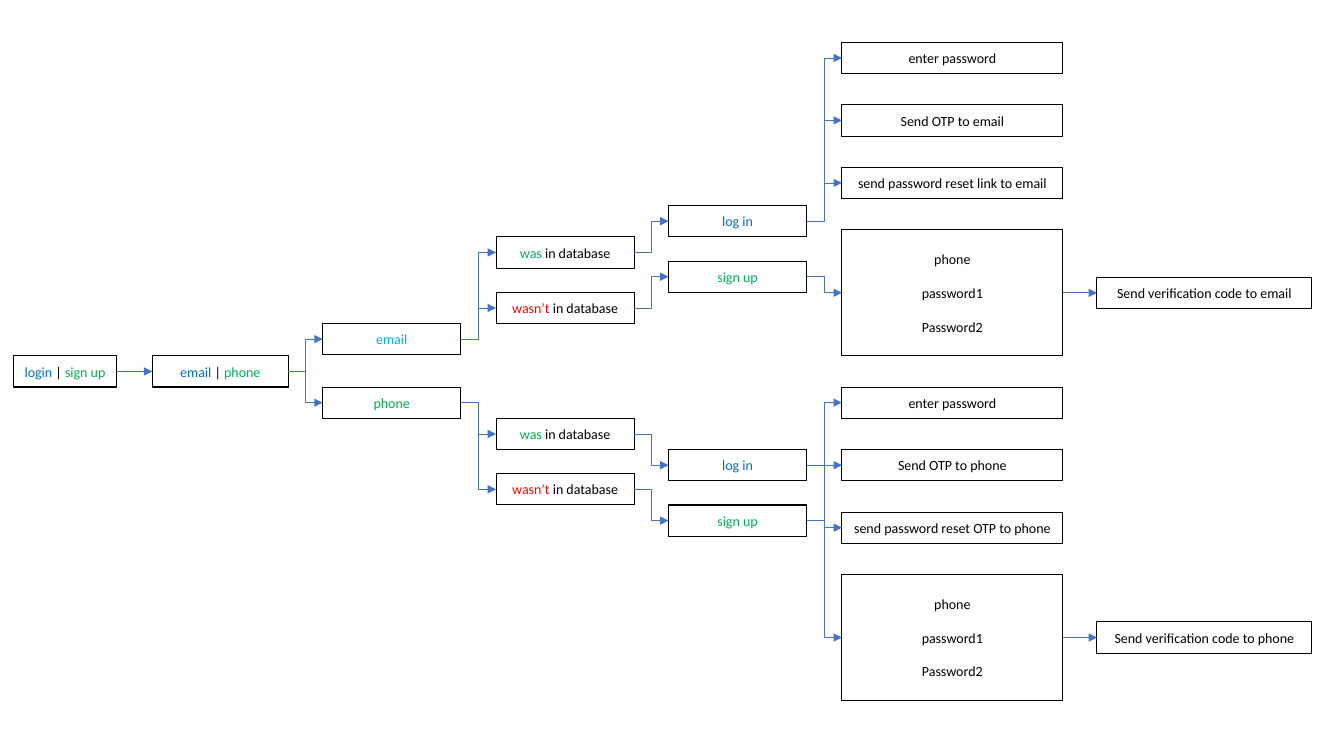
from lxml import etree
from pptx import Presentation
from pptx.dml.color import RGBColor
from pptx.enum.shapes import MSO_CONNECTOR, MSO_SHAPE
from pptx.enum.text import MSO_ANCHOR, PP_ALIGN
from pptx.oxml.ns import qn
from pptx.util import Inches, Pt

RECT = MSO_SHAPE.RECTANGLE
STRAIGHT, ELBOW = MSO_CONNECTOR.STRAIGHT, MSO_CONNECTOR.ELBOW
MIDDLE, CENTER = MSO_ANCHOR.MIDDLE, PP_ALIGN.CENTER
LEFT_SITE, RIGHT_SITE = 1, 3

BLACK, WHITE, BLUE, SKY = "000000", "FFFFFF", "0070C0", "00B0F0"
GREEN, RED, LINK = "00B050", "FF0000", "4472C4"

BOX_H, FORM_H = 0.31, 1.25
NODE_W, STEP_W, VERIFY_W = 1.37, 2.19, 2.13
RECORD_X, ACCOUNT_X, STEP_X, VERIFY_X = 1.72, 3.43, 5.15, 7.68
PAIR_PITCH, STEP_PITCH = 0.55, 0.62


def rgb(color):
    return RGBColor.from_string(color)


def add_box(slide, left, top, width, paragraphs, height=BOX_H, fill=None):
    s = slide.shapes.add_shape(RECT, Inches(left), Inches(top), Inches(width), Inches(height))
    s.shadow.inherit = False
    if fill:
        s.fill.solid()
        s.fill.fore_color.rgb = rgb(fill)
    else:
        s.fill.background()
    s.line.color.rgb = rgb(BLACK)
    s.line.width = Pt(0.75)
    tf = s.text_frame
    tf.word_wrap = True
    tf.vertical_anchor = MIDDLE
    tf.margin_left = tf.margin_right = Inches(0.05)
    for i, runs in enumerate(paragraphs):
        p = tf.add_paragraph() if i else tf.paragraphs[0]
        p.alignment = CENTER
        p.space_before = Pt(12 if i else 0)
        for text, color in runs:
            r = p.add_run()
            r.text = text
            r.font.name = "Calibri"
            r.font.size = Pt(10)
            r.font.color.rgb = rgb(color)
    return s


def add_arrow(slide, start, end):
    y1, y2 = start.top + start.height // 2, end.top + end.height // 2
    level = abs(y1 - y2) < Inches(0.02)
    c = slide.shapes.add_connector(
        STRAIGHT if level else ELBOW, start.left + start.width, y1, end.left, y2)
    c.begin_connect(start, RIGHT_SITE)
    c.end_connect(end, LEFT_SITE)
    c.line.color.rgb = rgb(LINK)
    c.line.width = Pt(0.5)
    etree.SubElement(c.line._get_or_add_ln(), qn("a:tailEnd"), type="triangle")
    etree.SubElement(c._element.spPr, qn("a:effectLst"))


def add_entry(slide, left, top):
    start = add_box(slide, left, top, 1.03,
                    [[("login", BLUE), (" | ", BLACK), ("sign up", GREEN)]])
    choice = add_box(slide, left + 1.38, top, 1.35,
                     [[("email", BLUE), (" | ", BLACK), ("phone", GREEN)]])
    add_arrow(slide, start, choice)
    return choice


def add_branch(slide, left, top, choice, channel, color, reset, drops):
    method_drop, record_drop, account_drop = drops
    method = add_box(slide, left, top + method_drop, NODE_W, [[(channel, color)]])
    add_arrow(slide, choice, method)

    states = [("was", GREEN, "log in", BLUE), ("wasn’t", RED, "sign up", GREEN)]
    accounts = []
    for i, (state, state_color, action, action_color) in enumerate(states):
        y = top + i * PAIR_PITCH
        record = add_box(slide, left + RECORD_X, y + record_drop, NODE_W,
                         [[(state, state_color), (" in database", BLACK)]])
        account = add_box(slide, left + ACCOUNT_X, y + account_drop, NODE_W,
                          [[(action, action_color)]])
        add_arrow(slide, method, record)
        add_arrow(slide, record, account)
        accounts.append(account)
    log_in, sign_up = accounts

    steps = [("enter password", None), (f"Send OTP to {channel}", WHITE),
             (f"send password reset {reset} to {channel}", WHITE)]
    for i, (text, fill) in enumerate(steps):
        step = add_box(slide, left + STEP_X, top + i * STEP_PITCH, STEP_W,
                       [[(text, BLACK)]], fill=fill)
        add_arrow(slide, log_in, step)

    form_top = top + len(steps) * STEP_PITCH
    fields = ["phone", "password1", "Password2"]
    form = add_box(slide, left + STEP_X, form_top, STEP_W,
                   [[(field, BLACK)] for field in fields], FORM_H)
    verify = add_box(slide, left + VERIFY_X, form_top + (FORM_H - BOX_H) / 2, VERIFY_W,
                     [[(f"Send verification code to {channel}", BLACK)]])
    add_arrow(slide, sign_up, form)
    add_arrow(slide, form, verify)


def main():
    prs = Presentation()
    prs.slide_width, prs.slide_height = Inches(13.33), Inches(7.5)
    slide = prs.slides.add_slide(prs.slide_layouts[6])
    choice = add_entry(slide, 0.13, 3.53)
    add_branch(slide, 3.2, 0.42, choice, "email", SKY, "link", (2.79, 1.93, 1.62))
    add_branch(slide, 3.2, 3.84, choice, "phone", GREEN, "OTP", (0, 0.31, 0.62))
    prs.save("out.pptx")


if __name__ == "__main__":
    main()
